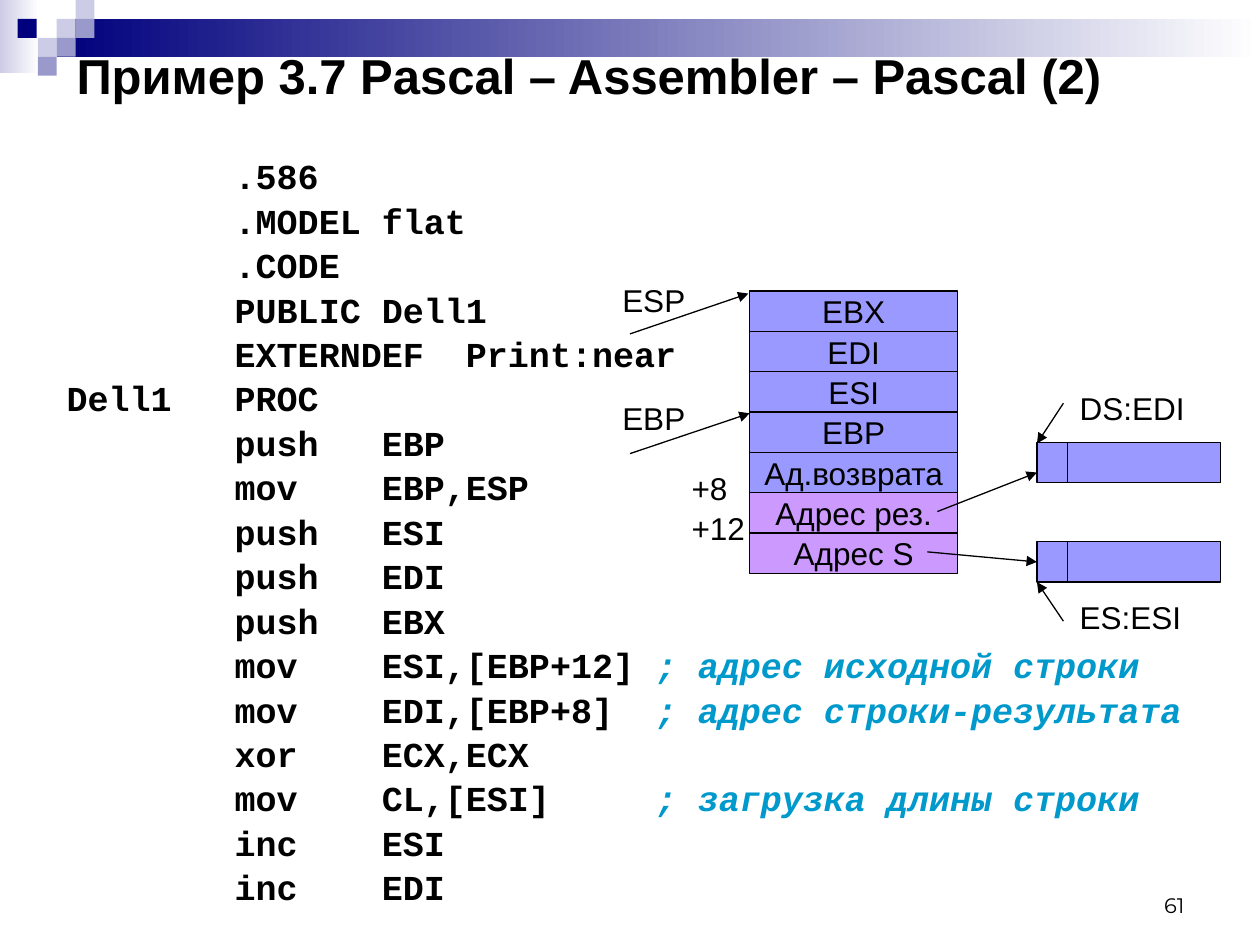
from typing import NamedTuple
from lxml.etree import SubElement
from pptx import Presentation
from pptx.dml.color import RGBColor
from pptx.enum.shapes import MSO_CONNECTOR, MSO_SHAPE
from pptx.enum.text import MSO_ANCHOR, PP_ALIGN
from pptx.oxml.ns import qn
from pptx.util import Inches, Pt

BLACK, WHITE, NAVY = "000000", "FFFFFF", "00007D"
PALE, MID = "CCCCE6", "9999CC"
BLUE, PINK, NOTE = "9999FF", "CC99FF", "0099CC"
CODE = """\
        .586
        .MODEL flat
        .CODE
        PUBLIC Dell1
        EXTERNDEF  Print:near
Dell1   PROC
        push   EBP
        mov    EBP,ESP
        push   ESI
        push   EDI
        push   EBX
        mov    ESI,[EBP+12] ; адрес исходной строки
        mov    EDI,[EBP+8]  ; адрес строки-результата
        xor    ECX,ECX
        mov    CL,[ESI]     ; загрузка длины строки
        inc    ESI
        inc    EDI"""


class Box(NamedTuple):
    x: float
    y: float
    w: float
    h: float


class Cell(NamedTuple):
    text: str
    fill: str


class Label(NamedTuple):
    text: str
    x: float
    y: float
    w: float


class Line(NamedTuple):
    x: float
    y: float
    endx: float
    endy: float
    arrow: bool = True


STACK = [
    Cell("EBX", BLUE), Cell("EDI", BLUE), Cell("ESI", BLUE), Cell("EBP", BLUE),
    Cell("Aд.возврата", BLUE), Cell("Адрес рез.", PINK), Cell("Адрес S", PINK),
]
LABELS = [
    Label("ESP", 4.84, 2.18, 0.75), Label("EBP", 4.84, 3.12, 0.75),
    Label("+8", 5.39, 3.67, 0.7), Label("+12", 5.39, 3.99, 0.78),
    Label("DS:EDI", 8.47, 3.04, 1.15), Label("ES:ESI", 8.47, 4.7, 1.15),
]
LINES = [
    Line(8.47, 3.51, 8.47, 3.83, False), Line(8.47, 4.3, 8.47, 4.62, False),
    Line(8.44, 3.2, 8.23, 3.52), Line(8.44, 4.93, 8.23, 4.62),
    Line(5, 2.65, 5.94, 2.33), Line(5, 3.6, 5.95, 3.28),
    Line(7.44, 4.06, 8.23, 3.75),
]
TILES = [
    (0.45, 0.15, PALE), (0.6, 0, PALE), (0.6, 0.15, MID), (0.3, 0.3, PALE),
    (0.14, 0.15, NAVY), (0.45, 0.3, MID), (0.3, 0.45, MID),
]


def color(code: str) -> RGBColor:
    return RGBColor.from_string(code)


def rect(slide, box: Box, fill: str, edge: bool = False):
    shape = slide.shapes.add_shape(MSO_SHAPE.RECTANGLE, *map(Inches, box))
    shape.shadow.inherit = False
    shape.fill.solid()
    shape.fill.fore_color.rgb = color(fill)
    if edge:
        shape.line.color.rgb = color(BLACK)
        shape.line.width = Pt(0.75)
    else:
        shape.line.fill.background()
    return shape


def fade(slide, box: Box, start: str) -> None:
    fill = rect(slide, box, start).fill
    fill.gradient()
    fill.gradient_angle = 0
    for stop, code in zip(fill.gradient_stops, (start, WHITE)):
        stop.color.rgb = color(code)


def write(para, text: str, size: float = 18, face: str = "Arial",
          ink: str = BLACK, bold: bool = False, slant: bool = False) -> None:
    run = para.add_run()
    run.text = text
    font = run.font
    font.size, font.name = Pt(size), face
    font.bold, font.italic = bold, slant
    font.color.rgb = color(ink)


def area(slide, box: Box, wrap: bool = True, anchor=MSO_ANCHOR.TOP):
    frame = slide.shapes.add_textbox(*map(Inches, box)).text_frame
    frame.word_wrap = wrap
    frame.vertical_anchor = anchor
    return frame


def link(slide, line: Line):
    ends = map(Inches, line[:4])
    shape = slide.shapes.add_connector(MSO_CONNECTOR.STRAIGHT, *ends)
    shape.line.color.rgb = color(BLACK)
    shape.line.width = Pt(0.75)
    props = shape._element.spPr
    if line.arrow:
        SubElement(props.find(qn("a:ln")), qn("a:tailEnd"), type="triangle")
    SubElement(props, qn("a:effectLst"))
    return shape


def listing(slide) -> None:
    frame = area(slide, Box(0.43, 1.23, 9.57, 6.54))
    for num, row in enumerate(CODE.splitlines()):
        para = frame.add_paragraph() if num else frame.paragraphs[0]
        para.line_spacing = 0.85
        para.space_before = Pt(5 if num else 0)
        code, mark, note = row.partition(";")
        write(para, code, 20, "Courier New", bold=True)
        if mark:
            write(para, mark + note, 20, "Courier New", NOTE, True, True)


def stack(slide) -> None:
    for num, cell in enumerate(STACK):
        box = Box(5.95, 2.31 + 0.32 * num, 1.65, 0.32)
        frame = rect(slide, box, cell.fill, True).text_frame
        frame.word_wrap = False
        frame.vertical_anchor = MSO_ANCHOR.MIDDLE
        para = frame.paragraphs[0]
        para.alignment = PP_ALIGN.CENTER
        write(para, cell.text)


def main() -> None:
    deck = Presentation()
    deck.slide_width, deck.slide_height = Inches(10), Inches(7.5)
    slide = deck.slides.add_slide(deck.slide_layouts[6])

    fade(slide, Box(0, 0, 0.31, 0.58), PALE)
    fade(slide, Box(0.45, 0.15, 9.55, 0.3), NAVY)
    for x, y, fill in TILES:
        rect(slide, Box(x, y, 0.15, 0.15), fill)

    page = area(slide, Box(7.17, 6.83, 2.33, 0.5), anchor=MSO_ANCHOR.BOTTOM)
    page.paragraphs[0].alignment = PP_ALIGN.RIGHT
    write(page.paragraphs[0], "61", 12, "Montserrat")
    title = area(slide, Box(0.51, 0.36, 9, 0.47), anchor=MSO_ANCHOR.MIDDLE)
    write(title.paragraphs[0], "Пример 3.7 Pascal – Assembler – Pascal (2)",
          28, bold=True)

    listing(slide)
    stack(slide)
    rect(slide, Box(8.23, 3.51, 1.46, 0.32), BLUE, True)
    source = rect(slide, Box(8.23, 4.3, 1.46, 0.32), BLUE, True)
    for line in LINES:
        link(slide, line)
    link(slide, Line(7.36, 4.38, 8.23, 4.46)).end_connect(source, 1)
    for label in LABELS:
        frame = area(slide, Box(label.x, label.y, label.w, 0.4), False)
        write(frame.paragraphs[0], label.text)

    deck.save("out.pptx")


if __name__ == "__main__":
    main()
